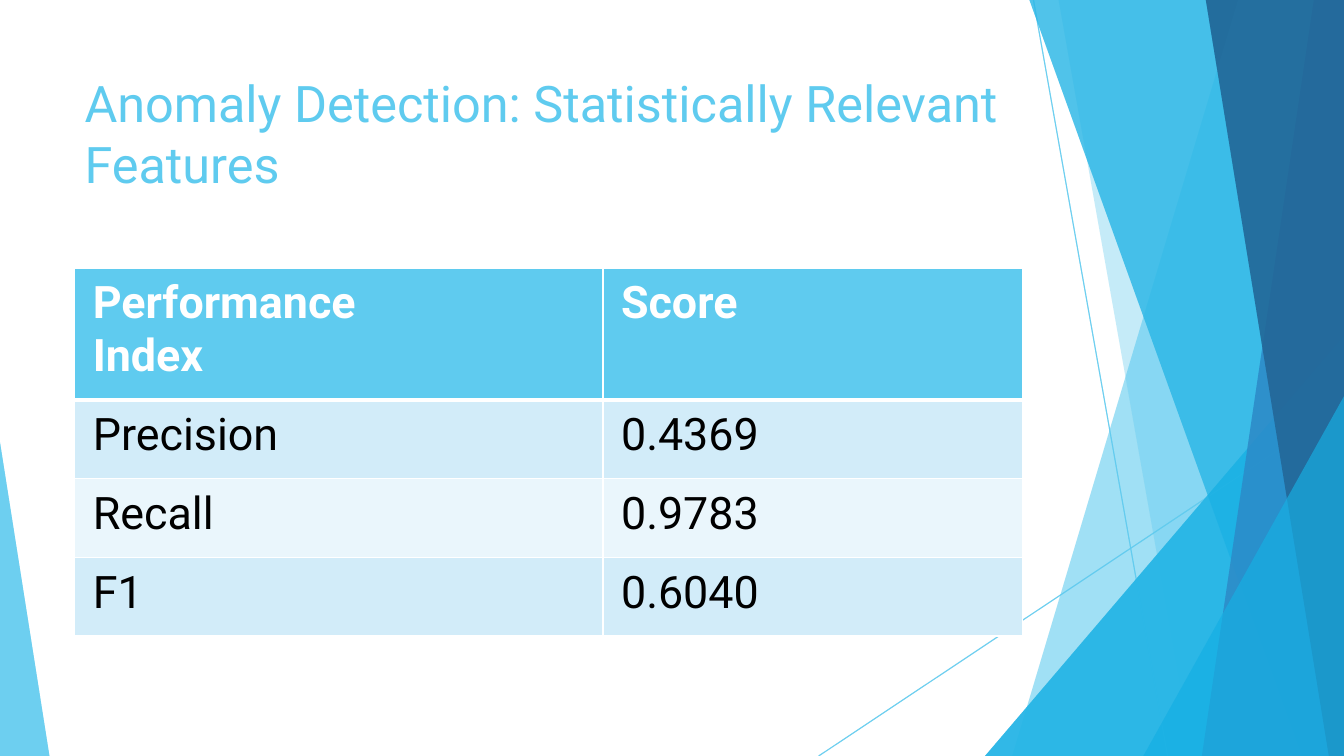
from dataclasses import dataclass

from lxml import etree
from pptx import Presentation
from pptx.dml.color import RGBColor
from pptx.enum.shapes import MSO_CONNECTOR, MSO_SHAPE
from pptx.enum.text import MSO_ANCHOR
from pptx.oxml.ns import qn
from pptx.util import Pt

STRAIGHT = MSO_CONNECTOR.STRAIGHT
TRIANGLE = MSO_SHAPE.ISOSCELES_TRIANGLE
TOP = MSO_ANCHOR.TOP
PX = 9144
WIDE, HIGH = 1333, 750


@dataclass(frozen=True)
class Theme:
    """Colours, font and type sizes of the slide."""
    sky: str = "5FCBEF"
    cyan: str = "17B0E4"
    blue: str = "2E83C3"
    navy: str = "226292"
    white: str = "FFFFFF"
    black: str = "000000"
    bands: tuple = ("D2ECF9", "EAF6FC")
    font: str = "Roboto"
    title: int = 36
    body: int = 32


THEME = Theme()


def rgb(code):
    """Turn a hex code into a colour."""
    return RGBColor.from_string(code)


def emu(*lengths):
    """Turn px lengths into EMU."""
    return [length * PX for length in lengths]


def fade(shape, alpha):
    """Set the opacity of a shape's colour in percent."""
    for color in shape.element.spPr.iter(qn("a:srgbClr")):
        etree.SubElement(color, qn("a:alpha"), val=str(alpha * 1000))


def style(font, size, color, bold=False):
    """Set typeface, size, colour and weight."""
    font.name, font.size, font.bold = THEME.font, Pt(size), bold
    font.color.rgb = rgb(color)


def paint(shape, color, alpha):
    """Give a shape a see-through fill without outline or shadow."""
    shape.shadow.inherit = False
    shape.fill.solid()
    shape.fill.fore_color.rgb = rgb(color)
    shape.line.fill.background()
    fade(shape, alpha)


def add_line(slide, start, end):
    """Draw a thin see-through line."""
    line = slide.shapes.add_connector(STRAIGHT, *emu(*start, *end))
    line.line.color.rgb = rgb(THEME.sky)
    line.line.width = Pt(0.75)
    fade(line, 70)
    etree.SubElement(line.element.spPr, qn("a:effectLst"))


def add_shard(slide, box, head, foot, color, alpha):
    """Fill from a slanted edge to the right side of the box."""
    left, top, width, height = box
    right, base = left + width, top + height
    path = slide.shapes.build_freeform(left + head, top, scale=PX)
    path.add_line_segments([(right, top), (right, base), (left + foot, base)])
    paint(path.convert_to_shape(), color, alpha)


def add_peak(slide, box, width, height, color, alpha, right=True):
    """Draw a right triangle in a lower corner of the box."""
    x = box[0] + (box[2] - width if right else 0)
    y = box[1] + box[3] - height
    peak = slide.shapes.add_shape(TRIANGLE, *emu(x, y, width, height))
    peak.adjustments[0] = int(right)
    paint(peak, color, alpha)


def add_facets(slide, box):
    """Draw one layer of the faceted backdrop."""
    left, top, width, height = box
    base = top + height
    add_line(slide, (left + 1025, top), (left + 1158, base))
    add_line(slide, (left + width, top + 403), (left + 812, base))
    add_shard(slide, box, 1228, 1004, THEME.sky, 36)
    add_shard(slide, box, 1050, 1183, THEME.sky, 20)
    add_peak(slide, box, 356, 417, THEME.cyan, 66)
    add_shard(slide, box, 1021, 1291, THEME.cyan, 50)
    add_shard(slide, box, 1303, 1192, THEME.blue, 70)
    add_shard(slide, box, 1196, 1318, THEME.navy, 80)
    add_peak(slide, box, 199, 357, THEME.cyan, 66)
    add_peak(slide, box, 49, 311, THEME.sky, 70, right=False)


def add_title(slide, box, text):
    """Place the slide title."""
    frame = slide.shapes.add_textbox(*emu(*box)).text_frame
    frame.word_wrap = True
    frame.vertical_anchor = TOP
    frame.text = text
    style(frame.paragraphs[0].font, THEME.title, THEME.sky)


def add_edges(cell, base):
    """Draw white cell borders with the given base width in points."""
    props = cell._tc.get_or_add_tcPr()
    for side, width in (("L", 1), ("R", 1), ("T", 1), ("B", base)):
        edge = etree.SubElement(props, qn(f"a:ln{side}"), w=str(Pt(width)))
        fill = etree.SubElement(edge, qn("a:solidFill"))
        etree.SubElement(fill, qn("a:srgbClr"), val=THEME.white)


def fill_cell(cell, text, row):
    """Write and style one cell of the score table."""
    head = row == 0
    add_edges(cell, 3 if head else 1)
    cell.fill.solid()
    shade = THEME.sky if head else THEME.bands[(row - 1) % 2]
    cell.fill.fore_color.rgb = rgb(shade)
    cell.margin_left = cell.margin_right = 18 * PX
    cell.margin_top = cell.margin_bottom = 9 * PX
    cell.text = text
    color = THEME.white if head else THEME.black
    for para in cell.text_frame.paragraphs:
        style(para.font, THEME.body, color, head)


def add_scores(slide, box, rows):
    """Place the table of scores."""
    width, height = box[2:]
    first, head = 524, 131
    frame = slide.shapes.add_table(len(rows), len(rows[0]), *emu(*box))
    table = frame.table
    for col, span in zip(table.columns, (first, width - first)):
        col.width = span * PX
    step = (height - head) // (len(rows) - 1)
    for i, texts in enumerate(rows):
        table.rows[i].height = (step if i else head) * PX
        for j, text in enumerate(texts):
            fill_cell(table.cell(i, j), text, i)


def main():
    """Build and save the slide."""
    deck = Presentation()
    deck.slide_width, deck.slide_height = emu(WIDE, HIGH)
    slide = deck.slides.add_slide(deck.slide_layouts[6])
    for _ in range(2):
        add_facets(slide, (0, 0, WIDE, HIGH))
    add_title(slide, (74, 67, 940, 144),
              "Anomaly Detection: Statistically Relevant Features")
    add_scores(slide, (74, 266, 940, 365), [
        ("Performance\nIndex", "Score"),
        ("Precision", "0.4369"),
        ("Recall", "0.9783"),
        ("F1", "0.6040"),
    ])
    deck.save("out.pptx")


if __name__ == "__main__":
    main()
